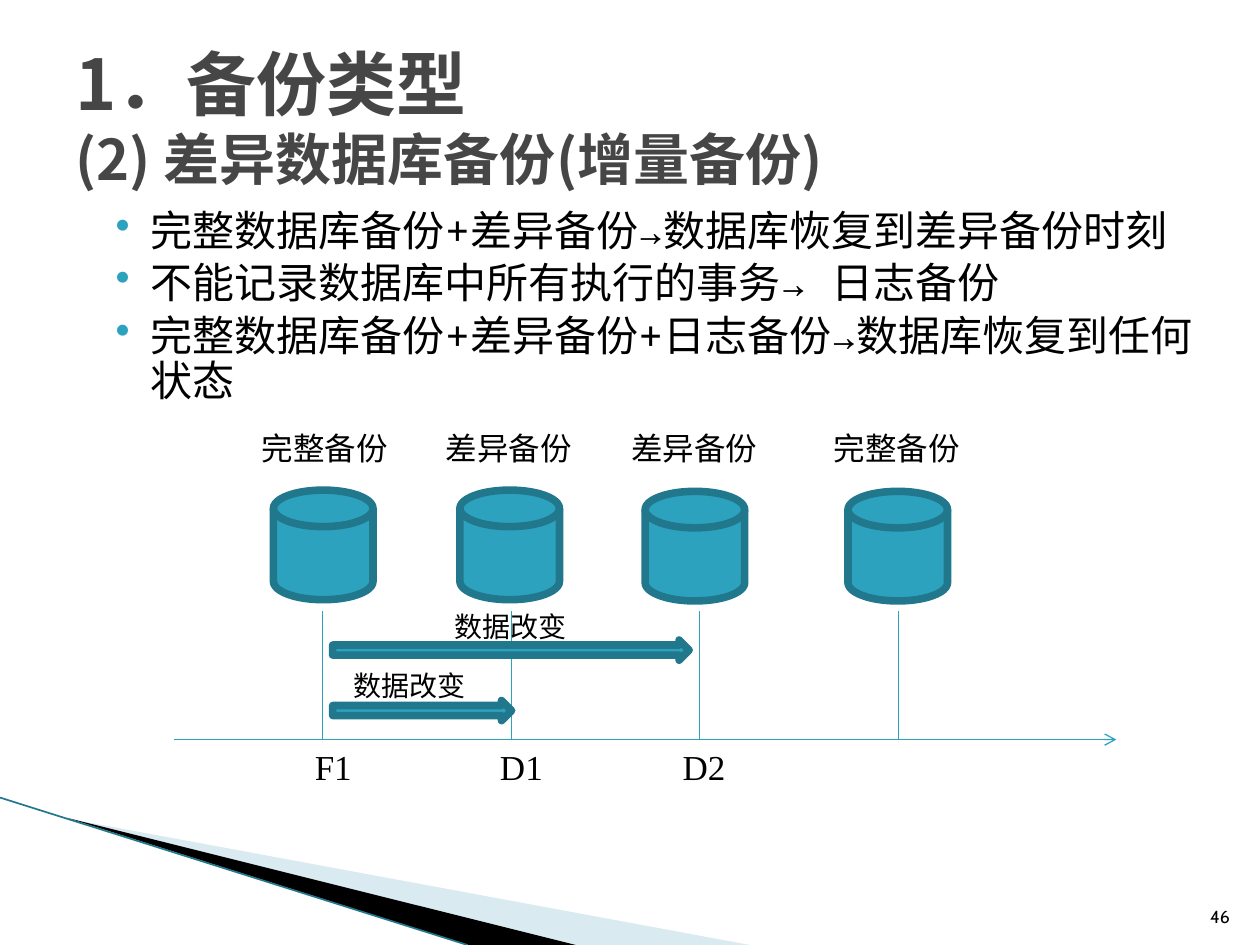
"""Build a slide on differential database backups with a backup timeline."""
from dataclasses import dataclass

from lxml import etree
from pptx import Presentation
from pptx.dml.color import RGBColor
from pptx.enum.shapes import MSO_CONNECTOR, MSO_SHAPE
from pptx.enum.text import MSO_ANCHOR, PP_ALIGN
from pptx.oxml.ns import qn
from pptx.util import Inches, Pt

STRAIGHT = MSO_CONNECTOR.STRAIGHT
DISK = MSO_SHAPE.FLOWCHART_MAGNETIC_DISK
RIGHT_ARROW = MSO_SHAPE.RIGHT_ARROW
LEFT, RIGHT = PP_ALIGN.LEFT, PP_ALIGN.RIGHT
TOP, MIDDLE, BOTTOM = MSO_ANCHOR.TOP, MSO_ANCHOR.MIDDLE, MSO_ANCHOR.BOTTOM

COLORS = {
    "teal": "2DA2BF",
    "edge": "21788D",
    "pale": "A0CBDC",
    "black": "000000",
    "title": "464646",
}
CELL = Inches(0.1)
COLUMNS, ROWS = 100, 75
AXIS_ROW, TICK_ROW = 58.7, 48.5
BULLETS = (
    "完整数据库备份+差异备份→数据库恢复到差异备份时刻",
    "不能记录数据库中所有执行的事务→ 日志备份",
    "完整数据库备份+差异备份+日志备份→数据库恢复到任何状态",
)


@dataclass(frozen=True)
class Area:
    """A rectangle in grid columns and rows."""

    left: float
    top: float
    width: float
    height: float

    def lengths(self) -> tuple:
        """Return the rectangle in slide units."""
        return tuple(cells(n) for n in (self.left, self.top, self.width, self.height))


@dataclass(frozen=True)
class Style:
    """The look of a piece of text."""

    font: str
    size: float
    color: str = "black"
    bold: bool = False


@dataclass(frozen=True)
class Backup:
    """One backup on the timeline."""

    label: str
    label_left: float
    disk_left: float
    disk_top: float
    tick: float
    name: str = ""
    name_left: float = 0


@dataclass(frozen=True)
class Change:
    """A span of changed data between two backups."""

    top: float
    width: float
    label_left: float
    label_top: float


BACKUPS = (
    Backup("完整备份", 19.8, 21.7, 38.9, 25.6, "F1", 24),
    Backup("差异备份", 34.4, 36.5, 38.9, 40.6, "D1", 38.7),
    Backup("差异备份", 49.1, 51.2, 39, 55.5, "D2", 53.2),
    Backup("完整备份", 65.2, 67.3, 39, 71.3),
)
CHANGES = (Change(55.6, 14.2, 27.1, 52.6), Change(50.8, 28.3, 35.1, 47.9))
LABEL = Style("Cabin", 18)
CHANGE_LABEL = Style("Cabin", 16)
NAME = Style("Times New Roman", 20)
BODY = Style("Noto Sans Mono", 24)
NUMBER = Style("Cabin", 10)
HEADING = Style("Noto Sans CJK SC", 40, "title", True)
SUBHEADING = Style("Noto Sans CJK SC", 32, "title", True)


def cells(count: float) -> int:
    """Turn a count of grid cells into slide units."""
    return round(count * CELL)


def rgb(name: str) -> RGBColor:
    """Look up a named colour."""
    return RGBColor.from_string(COLORS[name])


def format_span(span, style: Style) -> None:
    """Apply a text style to a run, for Latin and East Asian letters."""
    span.font.size = Pt(style.size)
    span.font.bold = style.bold
    span.font.color.rgb = rgb(style.color)
    span.font.name = style.font
    east_asian = etree.Element(qn("a:ea"), typeface=style.font)
    span.font._element.find(qn("a:latin")).addnext(east_asian)


def add_text(slide, area: Area, text: str, style: Style, wrap=False, align=LEFT, anchor=TOP):
    """Add a text box whose paragraphs share one style."""
    frame = slide.shapes.add_textbox(*area.lengths()).text_frame
    frame.word_wrap = wrap
    frame.vertical_anchor = anchor
    frame.text = text
    for para in frame.paragraphs:
        para.alignment = align
        for span in para.runs:
            format_span(span, style)
    return frame


def add_line(slide, start: tuple, end: tuple, color="teal", width=0.75):
    """Draw a straight line between two grid points."""
    points = (cells(n) for n in (*start, *end))
    line = slide.shapes.add_connector(STRAIGHT, *points)
    line.line.color.rgb = rgb(color)
    line.line.width = Pt(width)
    etree.SubElement(line._element.spPr, qn("a:effectLst"))
    return line


def add_solid(slide, preset, area: Area) -> None:
    """Add a teal shape with a thick dark edge."""
    shape = slide.shapes.add_shape(preset, *area.lengths())
    shape.shadow.inherit = False
    shape.fill.solid()
    shape.fill.fore_color.rgb = rgb("teal")
    shape.line.color.rgb = rgb("edge")
    shape.line.width = Pt(4.33)


def add_wedge(slide, points: tuple, color: str, opacity: int) -> None:
    """Add a filled triangle through three grid points."""
    corners = [(cells(x), cells(y)) for x, y in points]
    builder = slide.shapes.build_freeform(*corners[0])
    builder.add_line_segments(corners[1:], close=True)
    wedge = builder.convert_to_shape()
    wedge.shadow.inherit = False
    wedge.line.fill.background()
    wedge.fill.solid()
    wedge.fill.fore_color.rgb = rgb(color)
    tone = wedge._element.spPr.find(f".//{qn('a:srgbClr')}")
    etree.SubElement(tone, qn("a:alpha"), val=str(opacity * 1000))


def add_title(slide) -> None:
    """Place the two-line title and give it a text shadow."""
    title = slide.shapes.title
    title.left, title.top, title.width, title.height = Area(5, 3, 90, 12.5).lengths()
    title.text_frame.vertical_anchor = MIDDLE
    para = title.text_frame.paragraphs[0]
    para.text = "1．备份类型\v(2) 差异数据库备份(增量备份)"
    para.alignment = LEFT
    for span, style in zip(para.runs, (HEADING, SUBHEADING)):
        format_span(span, style)
        effects = etree.Element(qn("a:effectLst"))
        shadow = etree.SubElement(
            effects, qn("a:outerShdw"), blurRad="0", dist="25400", dir="2700000"
        )
        etree.SubElement(shadow, qn("a:srgbClr"), val=COLORS["black"])
        span.font._element.find(qn("a:solidFill")).addnext(effects)


def add_bullets(slide) -> None:
    """Add the bulleted statements."""
    frame = add_text(slide, Area(7, 16.2, 89.7, 16.5), "\n".join(BULLETS), BODY, wrap=True)
    for index, para in enumerate(frame.paragraphs):
        para.line_spacing = 0.9
        para.space_before = Pt(4 if index else 0)
        properties = para._p.get_or_add_pPr()
        properties.set("marL", str(cells(4)))
        properties.set("indent", str(cells(-2.8)))
        bullet_color = etree.SubElement(properties, qn("a:buClr"))
        etree.SubElement(bullet_color, qn("a:srgbClr"), val=COLORS["teal"])
        etree.SubElement(properties, qn("a:buChar"), char="•")


def add_timeline(slide) -> None:
    """Draw the axis, the backups and the spans of changed data."""
    axis = add_line(slide, (13.8, AXIS_ROW), (88.6, AXIS_ROW))
    etree.SubElement(axis.line._get_or_add_ln(), qn("a:tailEnd"), type="arrow")
    for backup in BACKUPS:
        add_line(slide, (backup.tick, AXIS_ROW), (backup.tick, TICK_ROW))
        add_solid(slide, DISK, Area(backup.disk_left, backup.disk_top, 7.9, 8.7))
        add_text(slide, Area(backup.label_left, 33.6, 12.1, 4), backup.label, LABEL)
        if backup.name:
            add_text(slide, Area(backup.name_left, AXIS_ROW, 6, 4.4), backup.name, NAME, wrap=True)
    for change in CHANGES:
        add_solid(slide, RIGHT_ARROW, Area(26.4, change.top, change.width, 1.6))
        area = Area(change.label_left, change.label_top, 11, 3.7)
        add_text(slide, area, "数据改变", CHANGE_LABEL)


def main() -> None:
    """Build and save the deck."""
    deck = Presentation()
    deck.slide_width, deck.slide_height = cells(COLUMNS), cells(ROWS)
    page = deck.slides.add_slide(deck.slide_layouts[5])
    add_wedge(page, ((5.5, 65), (59.5, ROWS), (45.6, ROWS)), "pale", 40)
    add_wedge(page, ((5.3, 64.9), (45.7, ROWS), (37.2, ROWS)), "black", 100)
    add_line(page, (0, 63.3), (37.1, ROWS), "edge", 0.95)
    add_text(page, Area(94.6, 70.1, 4, 4), "46", NUMBER, align=RIGHT, anchor=BOTTOM)
    add_bullets(page)
    add_title(page)
    add_timeline(page)
    deck.save("out.pptx")


if __name__ == "__main__":
    main()
